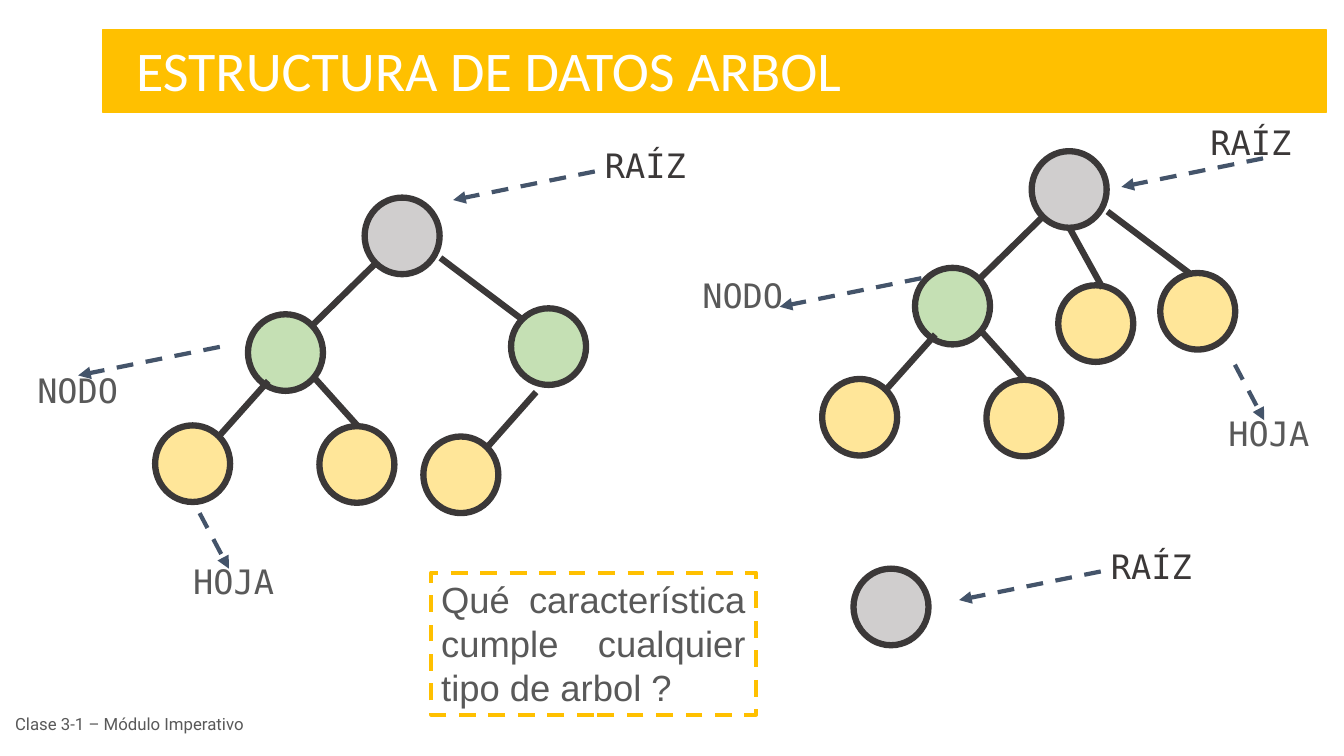
from lxml import etree
from pptx import Presentation
from pptx import util as u
from pptx.dml.color import RGBColor
from pptx.enum import dml, shapes, text
from pptx.oxml.ns import qn

# Content; all lengths in centimetres
TITLE = "ESTRUCTURA DE DATOS ARBOL"
QUESTION = "Qué característica cumple cualquier tipo de arbol ?"
FOOTER = "Clase 3-1 – Módulo Imperativo"

INK, GREY, GOLD, ARROW = "3B3838", "595959", "FFC000", "44546A"
NODE_FILLS = {"root": "D0CECE", "inner": "C5E0B4", "leaf": "FFE699"}
NODE_SIZE = (1.89, 1.93)

# The branch both trees share: nodes (kind, left, top), edges (x1, y1, x2, y2)
BRANCH_NODES = [("root", 9.19, 4.98), ("inner", 6.25, 7.92),
                ("leaf", 3.91, 10.72), ("leaf", 8.05, 10.74)]
BRANCH_EDGES = [(9.47, 6.63, 7.87, 8.2), (11.1, 6.5, 13.16, 8.05),
                (6.76, 9.6, 5.51, 11), (7.95, 9.55, 9.02, 10.74)]
BRANCH_SHIFTS = [(0, 0), (16.81, -1.17)]
OTHER_NODES = [("inner", 12.88, 7.77), ("leaf", 10.67, 11),
               ("leaf", 29.24, 6.88), ("leaf", 26.67, 7.19),
               ("root", 21.51, 14.33)]
OTHER_EDGES = [(13.51, 9.88, 12.27, 11.28), (26.95, 5.74, 27.79, 7.26)]

# Label word: arrow reach, box size, colour, paragraph format
SPACED = {"alignment": text.PP_ALIGN.JUSTIFY, "line_spacing": 0.9,
          "space_before": u.Pt(6), "space_after": u.Pt(6)}
CENTRED = {"alignment": text.PP_ALIGN.CENTER}
LABEL_STYLES = {
    "RAÍZ": ((-3.57, 0.72), (4.57, 1.27), INK, CENTRED),
    "NODO": ((-3.57, 0.72), (3.78, 1.6), GREY, SPACED),
    "HOJA": ((0.74, 1.4), (3.78, 1.6), GREY, SPACED),
}
# Word, arrow start, box corner
LABELS = [
    ("RAÍZ", (14.99, 4.32), (13.98, 3.53)),
    ("NODO", (5.54, 8.74), (0.69, 9.3)),
    ("HOJA", (5.03, 12.93), (4.62, 14.12)),
    ("RAÍZ", (31.83, 3.99), (29.24, 2.95)),
    ("NODO", (23.22, 7.01), (17.45, 6.93)),
    ("HOJA", (31.12, 9.19), (30.71, 10.39)),
    ("RAÍZ", (27.74, 14.4), (26.73, 13.64)),
]


def cm(*values):
    return [u.Cm(value) for value in values]


def colour(hex_string):
    return RGBColor.from_string(hex_string)


def apply(target, formats):
    for name, value in formats.items():
        setattr(target, name, value)


def set_line(line, hex_string, width, dashed=False):
    line.color.rgb = colour(hex_string)
    line.width = u.Pt(width)
    if dashed:
        line.dash_style = dml.MSO_LINE.DASH


def write(box, words, font, size, hex_string, para_format=None, **frame_format):
    frame = box.text_frame
    apply(frame, {"word_wrap": True, "auto_size": text.MSO_AUTO_SIZE.NONE,
                  "vertical_anchor": text.MSO_ANCHOR.TOP, **frame_format})
    para = frame.paragraphs[0]
    apply(para, para_format or {"alignment": text.PP_ALIGN.LEFT})
    span = para.add_run()
    span.text = words
    apply(span.font, {"name": font, "size": u.Pt(size)})
    span.font.color.rgb = colour(hex_string)


def add_node(page, kind, left, top):
    node = page.shapes.add_shape(shapes.MSO_SHAPE.OVAL, *cm(left, top, *NODE_SIZE))
    node.shadow.inherit = False
    node.fill.solid()
    node.fill.fore_color.rgb = colour(NODE_FILLS[kind])
    set_line(node.line, INK, 4.5)


def add_line(page, ends, hex_string, width, arrow=False):
    line = page.shapes.add_connector(shapes.MSO_CONNECTOR.STRAIGHT, *cm(*ends))
    set_line(line.line, hex_string, width, dashed=arrow)
    if arrow:
        outline = line.line._get_or_add_ln()
        etree.SubElement(outline, qn("a:tailEnd"), type="triangle")
    etree.SubElement(line._element.spPr, qn("a:effectLst"))


def add_label(page, word, start, corner):
    reach, size, hex_string, para_format = LABEL_STYLES[word]
    end = [a + b for a, b in zip(start, reach)]
    add_line(page, (*start, *end), ARROW, 3, arrow=True)
    box = page.shapes.add_textbox(*cm(*corner, *size))
    write(box, word, "DejaVu Sans Mono", 24, hex_string, para_format)


def main():
    deck = Presentation()
    deck.slide_width, deck.slide_height = cm(33.87, 19.05)
    page = deck.slides.add_slide(deck.slide_layouts[5])

    # Title bar
    title = page.shapes.title
    apply(title, dict(zip(("left", "top", "width", "height"),
                          cm(2.59, 0.76, 30.84, 2.06))))
    title.fill.solid()
    title.fill.fore_color.rgb = colour(GOLD)
    set_line(title.line, GOLD, 1)
    write(title, TITLE, "Calibri", 40, "FFFFFF", margin_left=u.Cm(0.84))

    # Trees: nodes first, edges over them
    nodes, edges = list(OTHER_NODES), list(OTHER_EDGES)
    for dx, dy in BRANCH_SHIFTS:
        nodes += [(kind, x + dx, y + dy) for kind, x, y in BRANCH_NODES]
        edges += [(x1 + dx, y1 + dy, x2 + dx, y2 + dy)
                  for x1, y1, x2, y2 in BRANCH_EDGES]
    for node in nodes:
        add_node(page, *node)
    for edge in edges:
        add_line(page, edge, INK, 4.5)

    # Labels with dashed arrows
    for label in LABELS:
        add_label(page, *label)

    # Question and footer
    question = page.shapes.add_textbox(*cm(10.87, 14.43, 8.18, 3.58))
    set_line(question.line, GOLD, 3, dashed=True)
    write(question, QUESTION, "Arial", 26, GREY,
          {"alignment": text.PP_ALIGN.JUSTIFY})
    footer = page.shapes.add_textbox(*cm(0.13, 17.68, 7.54, 1.14))
    write(footer, FOOTER, "Roboto", 12, GREY,
          vertical_anchor=text.MSO_ANCHOR.MIDDLE)

    deck.save("out.pptx")


if __name__ == "__main__":
    main()
